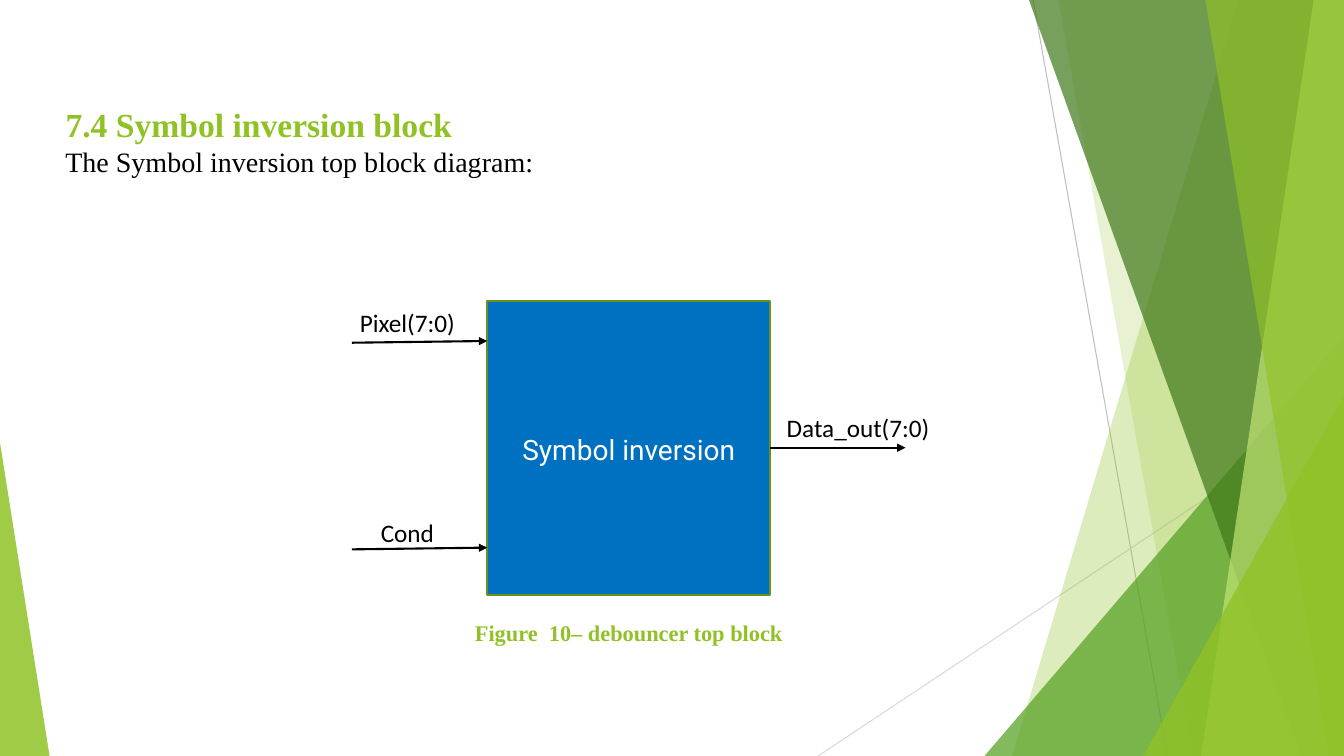
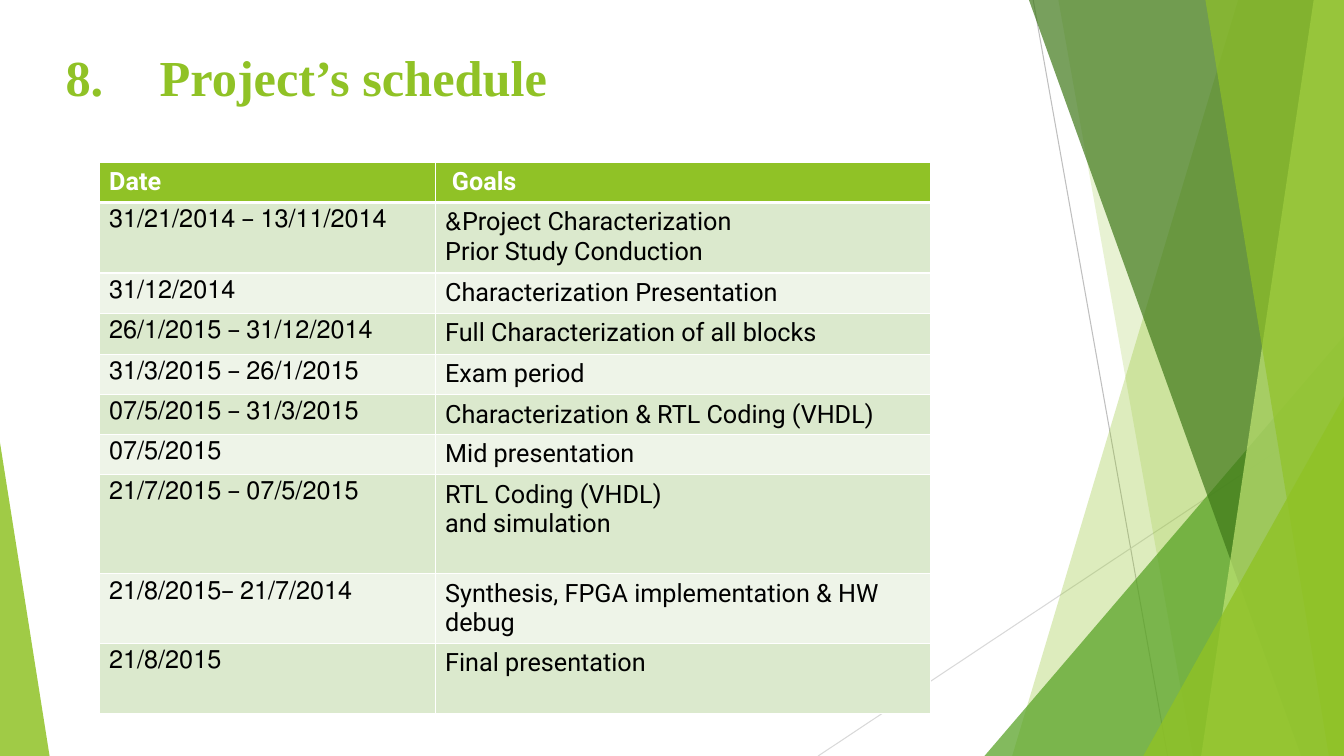
from dataclasses import dataclass

from lxml import etree
from pptx import Presentation
from pptx.dml.color import RGBColor
from pptx.enum.shapes import MSO_CONNECTOR, MSO_SHAPE
from pptx.enum.text import MSO_ANCHOR, MSO_AUTO_SIZE, PP_ALIGN
from pptx.oxml.ns import qn
from pptx.util import Emu, Pt

LEFT, CENTER = PP_ALIGN.LEFT, PP_ALIGN.CENTER
TOP, MIDDLE = MSO_ANCHOR.TOP, MSO_ANCHOR.MIDDLE
STRAIGHT = MSO_CONNECTOR.STRAIGHT
RECTANGLE, TRIANGLE = MSO_SHAPE.RECTANGLE, MSO_SHAPE.ISOSCELES_TRIANGLE
NO_AUTOFIT = MSO_AUTO_SIZE.NONE

COLS, ROWS, CELL = 16, 9, 762000
SERIF, SANS, LABEL = "Times New Roman", "Roboto", "Calibri"
TITLE_ONLY = 5

COLORS = {
    "lime": "90C226",
    "green": "54A021",
    "forest": "3F7819",
    "pale": "C0E474",
    "gray": "BFBFBF",
    "silver": "D9D9D9",
    "blue": "0070C0",
    "olive": "6B901C",
    "black": "000000",
    "white": "FFFFFF",
    "odd_row": "DBE9CD",
    "even_row": "EEF4E8",
}


@dataclass(frozen=True)
class Band:
    top_x: float
    bottom_x: float
    color: str
    opacity: int


@dataclass(frozen=True)
class Wedge:
    x: float
    y: float
    w: float
    apex: int
    color: str
    opacity: int


@dataclass(frozen=True)
class Signal:
    name: str
    label_box: tuple
    start: tuple
    end: tuple
    rtl: bool


@dataclass(frozen=True)
class Goal:
    dates: str
    text: str
    height: float
    rtl: bool = True


RAYS = [
    ((12.3, 0), (13.9, ROWS), "gray"),
    ((COLS, 4.84), (9.74, ROWS), "silver"),
]

FACETS = [
    Band(14.74, 12.05, "lime", 30),
    Band(12.6, 14.2, "lime", 20),
    Wedge(11.72, 4, 4.28, 1, "green", 72),
    Band(12.25, 15.49, "forest", 70),
    Band(15.64, 14.3, "pale", 70),
    Band(14.35, 15.82, "lime", 65),
    Wedge(13.61, 4.72, 2.39, 1, "lime", 80),
    Wedge(0, 5.27, 0.59, 0, "lime", 85),
]

BLOCK = (5.8, 3.58, 3.37, 3.5)
BLOCK_RIGHT, BLOCK_MIDDLE = BLOCK[0] + BLOCK[2], BLOCK[1] + BLOCK[3] / 2
ARROW = 1.61

INPUTS = [
    Signal("Pixel(7:0)", (3.9, 3.58, 1.9, 0.48),
           (BLOCK[0] - ARROW, 4.08), (BLOCK[0], 4.06), True),
    Signal("Cond", (3.9, 6.08, 1.9, 0.48),
           (BLOCK[0] - ARROW, 6.54), (BLOCK[0], 6.52), False),
]
OUTPUT = Signal("Data_out(7:0)", (BLOCK_RIGHT, 4.82, 2.09, 0.5),
                (BLOCK_RIGHT, BLOCK_MIDDLE),
                (BLOCK_RIGHT + ARROW, BLOCK_MIDDLE), True)

GOALS = [
    Goal("13/11/2014 – 31/21/2014",
         "Project Characterization&\nPrior Study Conduction", 0.84),
    Goal("31/12/2014", "Characterization Presentation", 0.48),
    Goal("31/12/2014 – 26/1/2015", "Full Characterization of all blocks", 0.49),
    Goal("26/1/2015 – 31/3/2015", "Exam period", 0.48, rtl=False),
    Goal("31/3/2015 – 07/5/2015", "Characterization & RTL Coding (VHDL)", 0.47),
    Goal("07/5/2015", "Mid presentation", 0.48),
    Goal("07/5/2015 – 21/7/2015", "RTL Coding (VHDL)\nand simulation", 1.18),
    Goal("21/7/2014 –21/8/2015",
         "Synthesis, FPGA implementation & HW debug", 0.82, rtl=False),
    Goal("21/8/2015", "Final presentation", 0.84),
]
HEADER_HEIGHT = 0.48
DATE_COLS, GOAL_COLS = 4, 5.9


def grid(*cells: float) -> list:
    return [Emu(round(c * CELL)) for c in cells]


def rgb(name: str) -> RGBColor:
    return RGBColor.from_string(COLORS[name])


def write(tf, text: str, *, size: float, color: str = "black", font: str = SERIF,
          bold: bool = False, align=LEFT, rtl: bool = False, spacing=None,
          after=None, wrap: bool = True, anchor=TOP) -> None:
    tf.word_wrap = wrap
    tf.vertical_anchor = anchor
    for i, line in enumerate(text.split("\n")):
        p = tf.add_paragraph() if i else tf.paragraphs[0]
        p.alignment = align
        if spacing:
            p.line_spacing = spacing
        if after is not None:
            p.space_after = Pt(after)
        if rtl:
            p._p.get_or_add_pPr().set("rtl", "1")
        r = p.add_run()
        r.text = line
        r.font.name, r.font.size, r.font.bold = font, Pt(size), bold
        r.font.color.rgb = rgb(color)


def add_text(s, text: str, box: tuple, **style) -> None:
    write(s.shapes.add_textbox(*grid(*box)).text_frame, text, **style)


def set_title(s, text: str, box: tuple, **style) -> None:
    title = s.shapes.title
    title.left, title.top, title.width, title.height = grid(*box)
    title.text_frame.auto_size = NO_AUTOFIT
    write(title.text_frame, text, color="lime", bold=True, **style)


def number_from(p, start: int, indent: float) -> None:
    pPr = p._p.get_or_add_pPr()
    margin = grid(indent)[0]
    pPr.set("marL", str(margin))
    pPr.set("indent", str(-margin))
    etree.SubElement(pPr, qn("a:buFont"), typeface="+mj-lt")
    etree.SubElement(pPr, qn("a:buAutoNum"), type="arabicPeriod",
                     startAt=str(start))


def add_line(s, start: tuple, end: tuple, color: str, width: float,
             arrow: bool = False):
    line = s.shapes.add_connector(STRAIGHT, *grid(*start, *end))
    line.line.color.rgb = rgb(color)
    line.line.width = Pt(width)
    spPr = line.element.spPr
    if arrow:
        etree.SubElement(spPr.find(qn("a:ln")), qn("a:tailEnd"), type="triangle")
    etree.SubElement(spPr, qn("a:effectLst"))
    return line


def add_facet(s, facet):
    if isinstance(facet, Wedge):
        sp = s.shapes.add_shape(
            TRIANGLE, *grid(facet.x, facet.y, facet.w, ROWS - facet.y))
        sp.adjustments[0] = facet.apex
    else:
        outline = s.shapes.build_freeform(*grid(facet.top_x, 0))
        corners = [(COLS, 0), (COLS, ROWS), (facet.bottom_x, ROWS)]
        outline.add_line_segments([grid(*c) for c in corners], close=True)
        sp = outline.convert_to_shape()
    sp.shadow.inherit = False
    sp.fill.solid()
    sp.fill.fore_color.rgb = rgb(facet.color)
    etree.SubElement(next(sp.element.iter(qn("a:srgbClr"))), qn("a:alpha"),
                     val=str(facet.opacity * 1000))
    sp.line.fill.background()
    return sp


def decorate_master(prs, s) -> None:
    decor = [add_line(s, *ray, 0.75) for ray in RAYS]
    decor += [add_facet(s, facet) for facet in FACETS]
    tree = prs.slide_master.shapes.element
    for i, sp in enumerate(decor):
        tree.insert(2 + i, sp.element)


def add_signal(s, signal: Signal):
    add_text(s, signal.name, signal.label_box, size=18, font=LABEL, align=CENTER,
             rtl=signal.rtl, spacing=1.07, after=8)
    return add_line(s, signal.start, signal.end, "black", 1.5, arrow=True)


def build_diagram(s) -> None:
    set_title(s, "7.4\tSymbol inversion block", (0.66, 1.18, 5.59, 0.6),
              size=24, wrap=False)
    add_text(s, "The Symbol inversion top block diagram:",
             (0.66, 1.66, 5.86, 0.53), size=20, wrap=False)
    block = s.shapes.add_shape(RECTANGLE, *grid(*BLOCK))
    block.shadow.inherit = False
    block.fill.solid()
    block.fill.fore_color.rgb = rgb("blue")
    block.line.color.rgb = rgb("olive")
    block.line.width = Pt(1.5)
    write(block.text_frame, "Symbol inversion", size=20, color="white", font=SANS,
          align=CENTER, rtl=True, spacing=1.07, after=8, anchor=MIDDLE)
    for signal in INPUTS:
        add_signal(s, signal)
    add_signal(s, OUTPUT).begin_connect(block, 3)
    add_text(s, "Figure  10– debouncer top block", (5.51, 7.31, 3.95, 0.44),
             size=16, color="lime", bold=True, align=CENTER, after=10, wrap=False)


def set_borders(cell, top: float, bottom: float) -> None:
    tcPr = cell._tc.get_or_add_tcPr()
    sides = {"lnL": 1, "lnR": 1, "lnT": top, "lnB": bottom}
    for i, (side, width) in enumerate(sides.items()):
        ln = etree.Element(qn(f"a:{side}"), w=str(Pt(width)))
        fill = etree.SubElement(ln, qn("a:solidFill"))
        etree.SubElement(fill, qn("a:srgbClr"), val=COLORS["white"])
        tcPr.insert(i, ln)


def fill_cell(cell, text: str, row: int, rtl: bool) -> None:
    header = row == 0
    shade = "lime" if header else "odd_row" if row % 2 else "even_row"
    cell.fill.solid()
    cell.fill.fore_color.rgb = rgb(shade)
    write(cell.text_frame, text, size=18, font=SANS, bold=header, rtl=rtl,
          color="white" if header else "black")
    set_borders(cell, 3 if row == 1 else 1, 3 if header else 1)


def build_schedule(s) -> None:
    set_title(s, " Project’s schedule", (0.66, 0.49, 13.8, 1.49), size=36)
    number_from(s.shapes.title.text_frame.paragraphs[0], 8, 0.97)
    goals = [Goal("Date", "Goals", HEADER_HEIGHT), *GOALS]
    table = s.shapes.add_table(
        len(goals), 2, *grid(1.18, 1.93, DATE_COLS + GOAL_COLS,
                             sum(g.height for g in goals))).table
    for column, width in zip(table.columns, grid(DATE_COLS, GOAL_COLS)):
        column.width = width
    for i, goal in enumerate(goals):
        table.rows[i].height = grid(goal.height)[0]
        fill_cell(table.cell(i, 0), goal.dates, i, True)
        fill_cell(table.cell(i, 1), goal.text, i, goal.rtl)
    table.cell(0, 1).margin_left = grid(0.2)[0]


def main() -> None:
    prs = Presentation()
    prs.slide_width, prs.slide_height = grid(COLS, ROWS)
    layout = prs.slide_layouts[TITLE_ONLY]
    diagram, schedule = (prs.slides.add_slide(layout) for _ in range(2))
    decorate_master(prs, diagram)
    build_diagram(diagram)
    build_schedule(schedule)
    prs.save("out.pptx")


if __name__ == "__main__":
    main()
